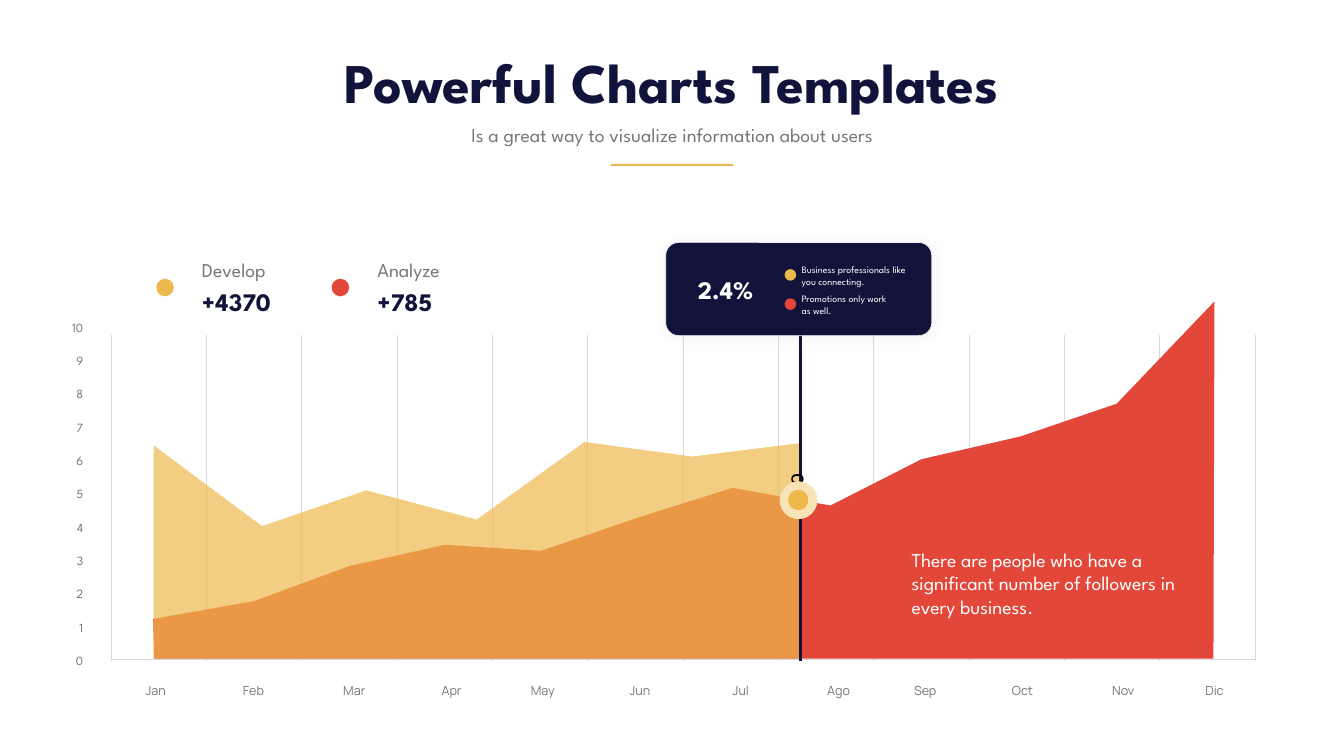
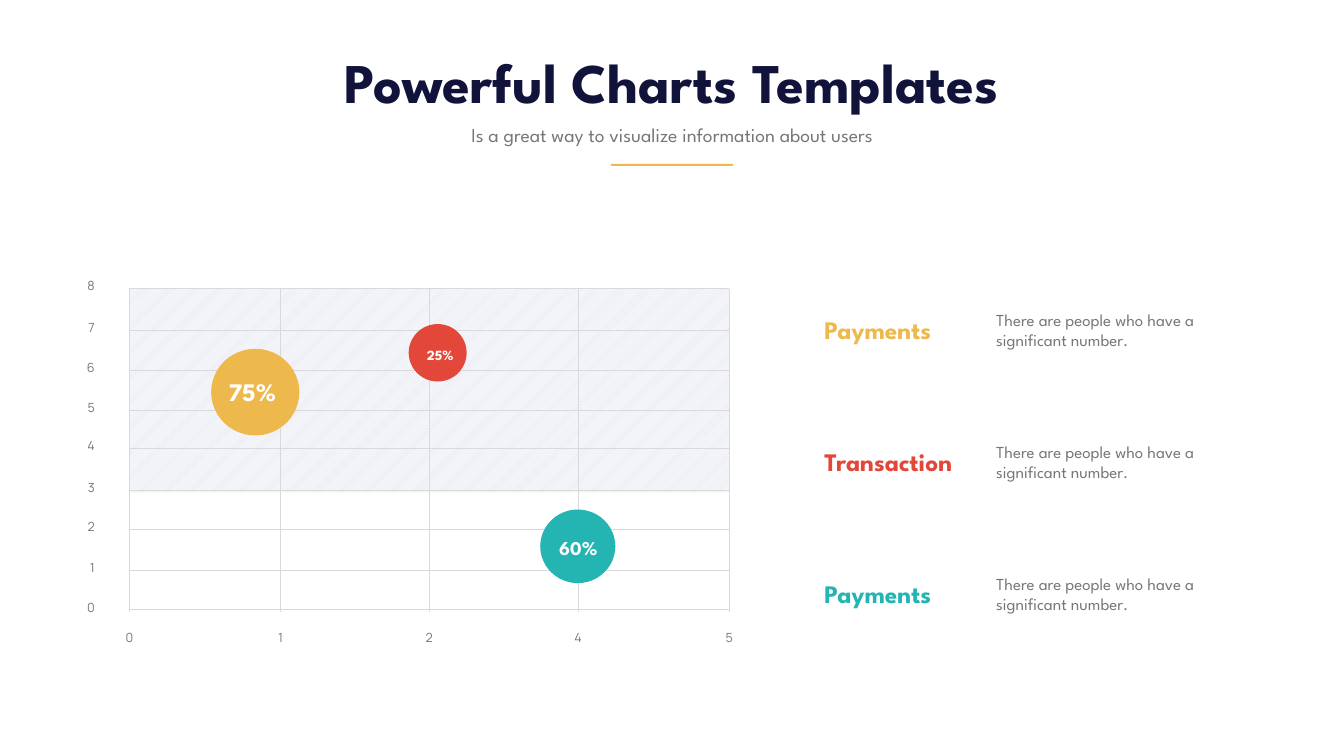
import lxml.etree
import pptx
import pptx.dml.color
import pptx.enum.dml
import pptx.enum.shapes
import pptx.enum.text
import pptx.oxml
import pptx.oxml.ns
import pptx.util

RGBColor = pptx.dml.color.RGBColor
Inches = pptx.util.Inches
Pt = pptx.util.Pt
SHAPE = pptx.enum.shapes.MSO_SHAPE
ALIGN = pptx.enum.text.PP_ALIGN
qn = pptx.oxml.ns.qn

NAVY = RGBColor(0x11, 0x13, 0x3A)
GRAY = RGBColor(0x77, 0x76, 0x78)
GRID = RGBColor(0xD9, 0xD9, 0xD9)
MIST = RGBColor(0xF6, 0xF7, 0xFC)
CARD_EDGE = RGBColor(0xF0, 0xF1, 0xFA)
YELLOW = RGBColor(0xEE, 0xB9, 0x4C)
CREAM = RGBColor(0xF8, 0xE3, 0xB7)
RED = RGBColor(0xE3, 0x47, 0x39)
TEAL = RGBColor(0x24, 0xB5, 0xB2)
WHITE = RGBColor(0xFF, 0xFF, 0xFF)
BLACK = RGBColor(0, 0, 0)
HEADING_FONT, LABEL_FONT = "League Spartan", "Manrope"

# Shared by both slides
WIDTH, HEIGHT = 26.67, 15
TITLE = "Powerful Charts Templates"
SUBTITLE = "Is a great way to visualize information about users"

# Area chart
MONTHS = [("Jan", 2.53), ("Feb", 4.47), ("Mar", 6.47), ("Apr", 8.4), ("May", 10.21), ("Jun", 12.14),
          ("Jul", 14.14), ("Ago", 16.08), ("Sep", 17.8), ("Oct", 19.73), ("Nov", 21.73), ("Dic", 23.54)]
TOP_VALUE = 10
AREA_LEFT, AREA_RIGHT, AREA_BASE = 2.2, 24.9, 13.07
ANALYZE_AREA = [(3.04, 12.28), (5.03, 11.93), (6.94, 11.23), (8.83, 10.81), (10.74, 10.93),
                (12.63, 10.28), (14.54, 9.68), (16.48, 10.03), (18.29, 9.11), (20.25, 8.66),
                (22.16, 8.01), (24.1, 5.98), (24.08, AREA_BASE), (3.06, AREA_BASE)]
DEVELOP_AREA = [(3.05, 8.84), (5.2, 10.44), (7.27, 9.73), (9.46, 10.31), (11.6, 8.77),
                (13.74, 9.06), (15.89, 8.79), (15.89, AREA_BASE), (3.05, AREA_BASE)]
TOTALS = [("Develop", "+4370", YELLOW), ("Analyze", "+785", RED)]
REMARK = "There are people who have a significant number of followers in every business."
MARKER_X, MARKER_Y = 15.89, 9.72
MARKER_LABEL = "ccc"
CALLOUT_VALUE = "2.4%"
CALLOUT_NOTES = [("Business professionals like you connecting.", YELLOW, 2.31),
                 ("Promotions only work as well.", RED, 2.07)]

# Bubble chart
COLUMNS = [("0", 2.57), ("1", 5.57), ("2", 8.52), ("4", 11.47), ("5", 14.47)]
ROWS = [("8", 5.73), ("7", 6.55), ("6", 7.34), ("5", 8.15), ("4", 8.9),
        ("3", 9.72), ("2", 10.5), ("1", 11.32), ("0", 12.1)]
BUBBLES = [  # bubble box, label box, label, size, colour
    ((4.19, 6.92, 1.75, 1.72), (3.98, 7.45, 2.05, 0.68), "75%", 36, YELLOW),
    ((10.72, 10.11, 1.49, 1.46), (10.89, 10.49, 1.17, 0.63), "60%", 28, TEAL),
    ((8.11, 6.43, 1.15, 1.14), (8.15, 6.6, 1.17, 0.61), "25%", 20, RED),
]
LEGEND = [("Payments", YELLOW), ("Transaction", RED), ("Payments", TEAL)]
LEGEND_NOTE = "There are people who have a significant number."


def add_text(slide, box, words, size, color=GRAY, bold=False, align=ALIGN.LEFT,
             font=HEADING_FONT, spacing=None):
    label = slide.shapes.add_textbox(*map(Inches, box))
    frame = label.text_frame
    frame.word_wrap = True
    frame.auto_size = pptx.enum.text.MSO_AUTO_SIZE.SHAPE_TO_FIT_TEXT
    paragraph = frame.paragraphs[0]
    paragraph.alignment = align
    if spacing:
        paragraph.line_spacing = Pt(spacing)
    run = paragraph.add_run()
    run.text = words
    run.font.name, run.font.size, run.font.bold = font, Pt(size), bold
    run.font.color.rgb = color
    return label


def add_axis_label(slide, box, words, align, font=LABEL_FONT):
    add_text(slide, box, words, 18, align=align, font=font, spacing=35.6)


def paint(shape, color):
    shape.shadow.inherit = False
    shape.fill.solid()
    shape.fill.fore_color.rgb = color
    shape.line.fill.background()
    return shape


def add_block(slide, kind, box, color):
    return paint(slide.shapes.add_shape(kind, *map(Inches, box)), color)


def add_dot(slide, left, top, size, color):
    add_block(slide, SHAPE.OVAL, (left, top, size, size), color)


def add_line(slide, x1, y1, x2, y2, color=GRID, weight=1):
    line = slide.shapes.add_connector(pptx.enum.shapes.MSO_CONNECTOR.STRAIGHT,
                                      *map(Inches, (x1, y1, x2, y2)))
    line.line.color.rgb = color
    line.line.width = Pt(weight)
    lxml.etree.SubElement(line._element.spPr, qn("a:effectLst"))


def add_area(slide, outline, color):
    start, *rest = [(Inches(x), Inches(y)) for x, y in outline]
    builder = slide.shapes.build_freeform(*start)
    builder.add_line_segments(rest, close=True)
    return paint(builder.convert_to_shape(), color)


def set_alpha(fill_parent, percent):
    """Make the first plain colour under an element partly transparent."""
    color = next(fill_parent.iter(qn("a:srgbClr")))
    lxml.etree.SubElement(color, qn("a:alpha"), val=str(percent * 1000))


def add_soft_shadow(shape):
    effects = shape._element.spPr.find(qn("a:effectLst"))
    shadow = lxml.etree.SubElement(effects, qn("a:outerShdw"), blurRad=str(Pt(20)), dist=str(Pt(3)),
                                   dir=str(45 * 60000), algn="tl", rotWithShape="0")
    lxml.etree.SubElement(shadow, qn("a:srgbClr"), val=str(BLACK))
    set_alpha(shadow, 5)


def add_header(slide):
    for words, width, top, height, size, color, bold in (
            (TITLE, 18.9, 0.9, 1.45, 80, NAVY, True),
            (SUBTITLE, 9.56, 2.38, 0.57, 28, GRAY, False)):
        add_text(slide, ((WIDTH - width) / 2, top, width, height), words, size, color, bold, ALIGN.CENTER)
    add_block(slide, SHAPE.RECTANGLE, ((WIDTH - 2.43) / 2, 3.25, 2.43, 0.04), YELLOW)


def add_callout(slide):
    card = add_block(slide, SHAPE.ROUNDED_RECTANGLE, (13.21, 4.81, 5.28, 1.85), NAVY)
    card.adjustments[0] = 0.14
    card.line.color.rgb = CARD_EDGE
    card.line.width = Pt(1)
    add_soft_shadow(card)
    add_text(slide, (13.75, 5.4, 1.61, 0.71), CALLOUT_VALUE, 36, WHITE, True)
    for i, (note, color, width) in enumerate(CALLOUT_NOTES):
        top = 5.18 + 0.58 * i
        add_dot(slide, 15.57, top + 0.16, 0.23, color)
        add_text(slide, (15.81, top, width, 0.57), note, 14, WHITE)


def build_area_slide(slide):
    add_line(slide, AREA_LEFT, AREA_BASE, AREA_RIGHT, AREA_BASE, weight=0.5)
    step = (AREA_RIGHT - AREA_LEFT) / len(MONTHS)
    for i in range(len(MONTHS) + 1):
        x = AREA_LEFT + step * i
        add_line(slide, x, 13.11, x, 6.65, weight=0.5)
    add_area(slide, ANALYZE_AREA, RED)
    for i, (name, total, color) in enumerate(TOTALS):
        left = 3.1 + 3.48 * i
        add_dot(slide, left, 5.53, 0.35, color)
        add_text(slide, (left + 0.81, 5.06, 3.51, 0.57), name, 28)
        add_text(slide, (left + 0.81, 5.64, 3.51, 0.71), total, 36, NAVY, True)
    add_text(slide, (17.99, 10.82, 5.62, 1.51), REMARK, 28, WHITE)
    add_header(slide)
    develop = add_area(slide, DEVELOP_AREA, YELLOW)
    set_alpha(develop._element.spPr, 70)

    add_line(slide, MARKER_X, 6.33, MARKER_X, 13.11, NAVY, 5)
    marker = add_text(slide, (MARKER_X - 0.5, MARKER_Y - 0.31, 1, 0.62), MARKER_LABEL, 32, BLACK,
                      align=ALIGN.CENTER, font="Arial")
    marker.rotation = 90
    add_dot(slide, 15.47, 9.55, 0.75, CREAM)
    add_dot(slide, 15.64, 9.72, 0.4, YELLOW)
    add_callout(slide)

    for value in range(TOP_VALUE + 1):
        top = 12.71 - 0.661 * value
        add_axis_label(slide, (0.63, top, 1.12, 0.54), str(value), ALIGN.RIGHT, HEADING_FONT)
    for month, left in MONTHS:
        add_axis_label(slide, (left, 13.3, 1.12, 0.56), month, ALIGN.CENTER)


def build_bubble_slide(slide):
    left, right = COLUMNS[0][1], COLUMNS[-1][1]
    top = ROWS[0][1]
    band = add_block(slide, SHAPE.RECTANGLE, (left, top, right - left, 4.04), MIST)
    band.fill.patterned()
    band.fill.pattern = pptx.enum.dml.MSO_PATTERN.WIDE_UPWARD_DIAGONAL
    band.fill.fore_color.rgb = GRID
    band.fill.back_color.rgb = MIST
    for value, x in COLUMNS:
        add_line(slide, x, top, x, 12.14)
        add_axis_label(slide, (x - 0.63, 12.26, 1.26, 0.56), value, ALIGN.CENTER)
    for value, y in ROWS:
        add_line(slide, right, y, left, y)
        add_axis_label(slide, (0.72, y - 0.45, 1.26, 0.56), value, ALIGN.RIGHT)
    for bubble, label, share, size, color in BUBBLES:
        add_block(slide, SHAPE.OVAL, bubble, color)
        add_text(slide, label, share, size, WHITE, True, ALIGN.CENTER, spacing=40.8)
    for i, (name, color) in enumerate(LEGEND):
        row_top = 6.1 + 2.615 * i
        add_text(slide, (19.67, row_top, 4.64, 0.91), LEGEND_NOTE, 24)
        add_text(slide, (16.26, row_top + 0.09, 3.42, 0.71), name, 36, color, True)
    add_header(slide)


def main():
    deck = pptx.Presentation()
    deck.slide_width, deck.slide_height = Inches(WIDTH), Inches(HEIGHT)
    for build in (build_area_slide, build_bubble_slide):
        build(deck.slides.add_slide(deck.slide_layouts[6]))
    deck.save("out.pptx")


if __name__ == "__main__":
    main()
